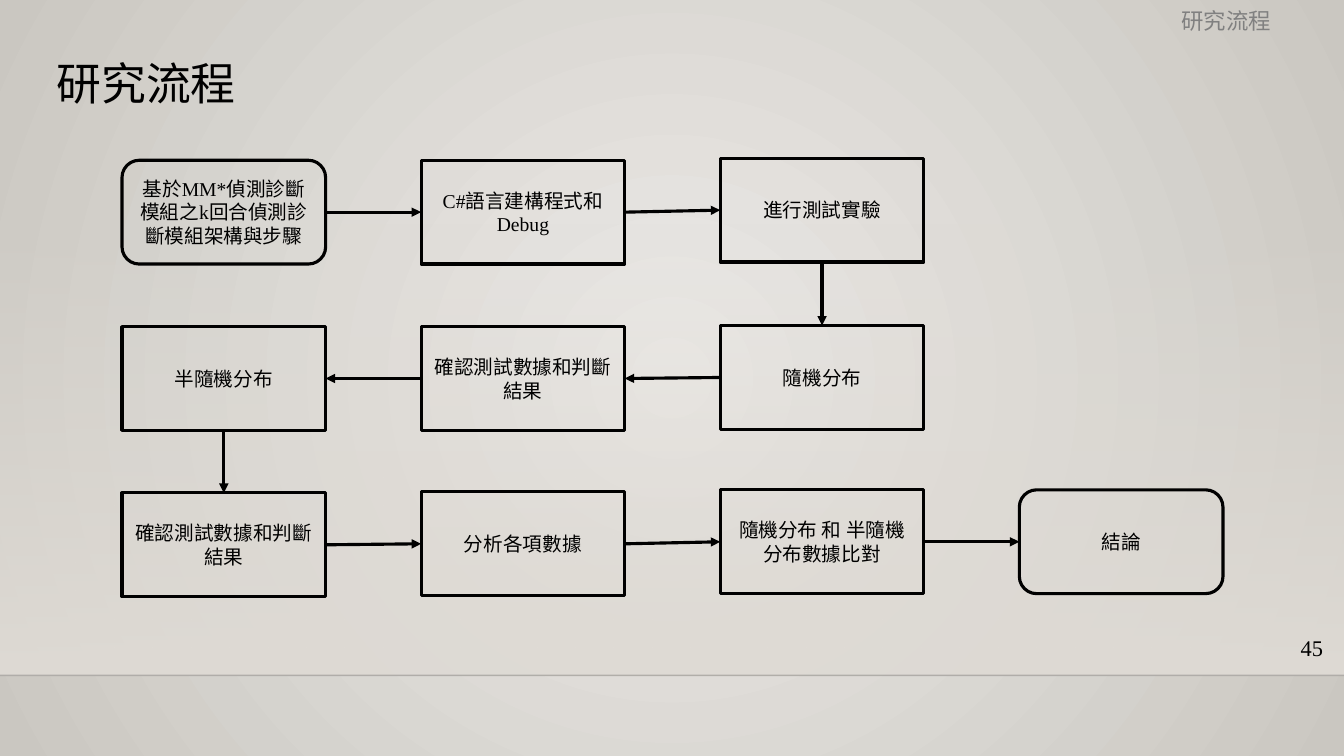
from dataclasses import dataclass

from lxml import etree
from pptx import Presentation
from pptx.dml.color import RGBColor
from pptx.enum.shapes import MSO_CONNECTOR, MSO_SHAPE
from pptx.enum.text import MSO_ANCHOR, MSO_AUTO_SIZE, PP_ALIGN
from pptx.oxml.ns import qn
from pptx.util import Inches, Pt

RECT, ROUND = MSO_SHAPE.RECTANGLE, MSO_SHAPE.ROUNDED_RECTANGLE
STRAIGHT = MSO_CONNECTOR.STRAIGHT
LEFT, CENTER, RIGHT = PP_ALIGN.LEFT, PP_ALIGN.CENTER, PP_ALIGN.RIGHT
TOP, MIDDLE = MSO_ANCHOR.TOP, MSO_ANCHOR.MIDDLE
NO_AUTOFIT = MSO_AUTO_SIZE.NONE
SITE_TOP, SITE_LEFT, SITE_BOTTOM, SITE_RIGHT = range(4)

COLORS = {"ink": "000000", "muted": "808080", "center": "ECEAE7",
          "edge": "CAC7C1", "floor": "DFDBD5", "floor_line": "000001"}
LATIN_FONT, CJK_FONT = "Times New Roman", "Noto Sans CJK SC"

SLIDE_W, SLIDE_H = 13.33, 7.5
FLOOR_TOP, FLOOR_BOTTOM = 2.21, 6.7
BOX_W, BOX_H = 2.02, 1.03
FIRST_LEFT, LAST_LEFT = 1.21, 10.11
COL_STEP = (LAST_LEFT - FIRST_LEFT) / 3


@dataclass
class Step:
    text: str
    col: int
    top: float
    shape: MSO_SHAPE = RECT


# In flow order: each step leads to the next.
STEPS = [
    Step("基於MM*偵測診斷模組之k回合偵測診斷模組架構與步驟", 0, 1.59, ROUND),
    Step("C#語言建構程式和Debug", 1, 1.59),
    Step("進行測試實驗", 2, 1.57),
    Step("隨機分布", 2, 3.23),
    Step("確認測試數據和判斷結果", 1, 3.24),
    Step("半隨機分布", 0, 3.24),
    Step("確認測試數據和判斷結果", 0, 4.89),
    Step("分析各項數據", 1, 4.88),
    Step("隨機分布 和 半隨機分布數據比對", 2, 4.86),
    Step("結論", 3, 4.86, ROUND),
]


def rgb(name: str) -> RGBColor:
    return RGBColor.from_string(COLORS[name])


def set_opacity(element, percent: int) -> None:
    """Apply opacity to the first colour inside the element."""
    color = next(element.iter(qn("a:srgbClr")))
    etree.SubElement(color, qn("a:alpha")).set("val", str(percent * 1000))


def set_text(shape, text: str, size: int, align=LEFT, anchor=TOP,
             color: str = "ink", wrap: bool = True) -> None:
    tf = shape.text_frame
    tf.text = text
    tf.word_wrap = wrap
    tf.auto_size = NO_AUTOFIT
    tf.vertical_anchor = anchor
    p = tf.paragraphs[0]
    p.alignment = align
    r = p.runs[0]
    r.font.size = Pt(size)
    r.font.name = LATIN_FONT
    r.font.color.rgb = rgb(color)
    ea = etree.SubElement(r.font._element, qn("a:ea"))
    ea.set("typeface", CJK_FONT)


def add_label(s, box: tuple, text: str, align, color: str = "ink") -> None:
    set_text(s.shapes.add_textbox(*map(Inches, box)), text, 16, align,
             color=color)


def add_line(s, color: str, width: float, start=(0, 0), end=(0, 0)):
    line = s.shapes.add_connector(STRAIGHT, *map(Inches, (*start, *end)))
    line.line.color.rgb = rgb(color)
    line.line.width = Pt(width)
    etree.SubElement(line._element.spPr, qn("a:effectLst"))
    return line


def set_gradient(fill, first: str, last: str) -> None:
    fill.gradient()
    for stop, color in zip(fill.gradient_stops, (first, last)):
        stop.color.rgb = rgb(color)


def add_backdrop(s) -> None:
    """Radial background with a floor band fading in above a thin line."""
    set_gradient(s.background.fill, "center", "edge")
    grad = next(s._element.iter(qn("a:gradFill")))
    grad.remove(grad.find(qn("a:lin")))
    path = etree.SubElement(grad, qn("a:path"))
    path.set("path", "circle")
    rect = etree.SubElement(path, qn("a:fillToRect"))
    for side in "ltrb":
        rect.set(side, "50000")

    floor = s.shapes.add_shape(RECT, 0, Inches(FLOOR_TOP), Inches(SLIDE_W),
                               Inches(FLOOR_BOTTOM - FLOOR_TOP))
    floor.shadow.inherit = False
    floor.line.fill.background()
    set_gradient(floor.fill, "floor", "floor")
    floor.fill.gradient_angle = 270
    set_opacity(floor._element.spPr, 0)
    line = add_line(s, "floor_line", 1, (0, FLOOR_BOTTOM),
                    (SLIDE_W, FLOOR_BOTTOM))
    set_opacity(line._element.spPr, 20)


def add_step(s, step: Step):
    box = s.shapes.add_shape(
        step.shape, Inches(FIRST_LEFT + step.col * COL_STEP),
        Inches(step.top), Inches(BOX_W), Inches(BOX_H))
    box.shadow.inherit = False
    box.fill.background()
    box.line.color.rgb = rgb("ink")
    box.line.width = Pt(2.25)
    set_text(box, step.text, 14, CENTER, MIDDLE)
    return box


def connection_sites(step: Step, following: Step) -> tuple[int, int]:
    if following.col > step.col:
        return SITE_RIGHT, SITE_LEFT
    if following.col < step.col:
        return SITE_LEFT, SITE_RIGHT
    return SITE_BOTTOM, SITE_TOP


def add_arrow(s, source, target, sites: tuple[int, int]) -> None:
    arrow = add_line(s, "ink", 2.25)
    arrow.begin_connect(source, sites[0])
    arrow.end_connect(target, sites[1])
    tail = etree.SubElement(arrow.line._get_or_add_ln(), qn("a:tailEnd"))
    tail.set("type", "triangle")


def main() -> None:
    prs = Presentation()
    prs.slide_width, prs.slide_height = Inches(SLIDE_W), Inches(SLIDE_H)
    s = prs.slides.add_slide(prs.slide_layouts[5])
    add_backdrop(s)

    title = s.shapes.title
    title.left, title.top = Inches(0.46), Inches(0.5)
    title.width, title.height = Inches(2), Inches(0.64)
    set_text(title, "研究流程", 32, wrap=False)

    boxes = [add_step(s, step) for step in STEPS]
    for i in range(len(STEPS) - 1):
        add_arrow(s, boxes[i], boxes[i + 1],
                  connection_sites(STEPS[i], STEPS[i + 1]))

    add_label(s, (12.74, 6.24, 0.48, 0.4), "45", RIGHT)
    add_label(s, (11.1, 0.02, 2.12, 0.37), "研究流程", CENTER, "muted")
    prs.save("out.pptx")


if __name__ == "__main__":
    main()
